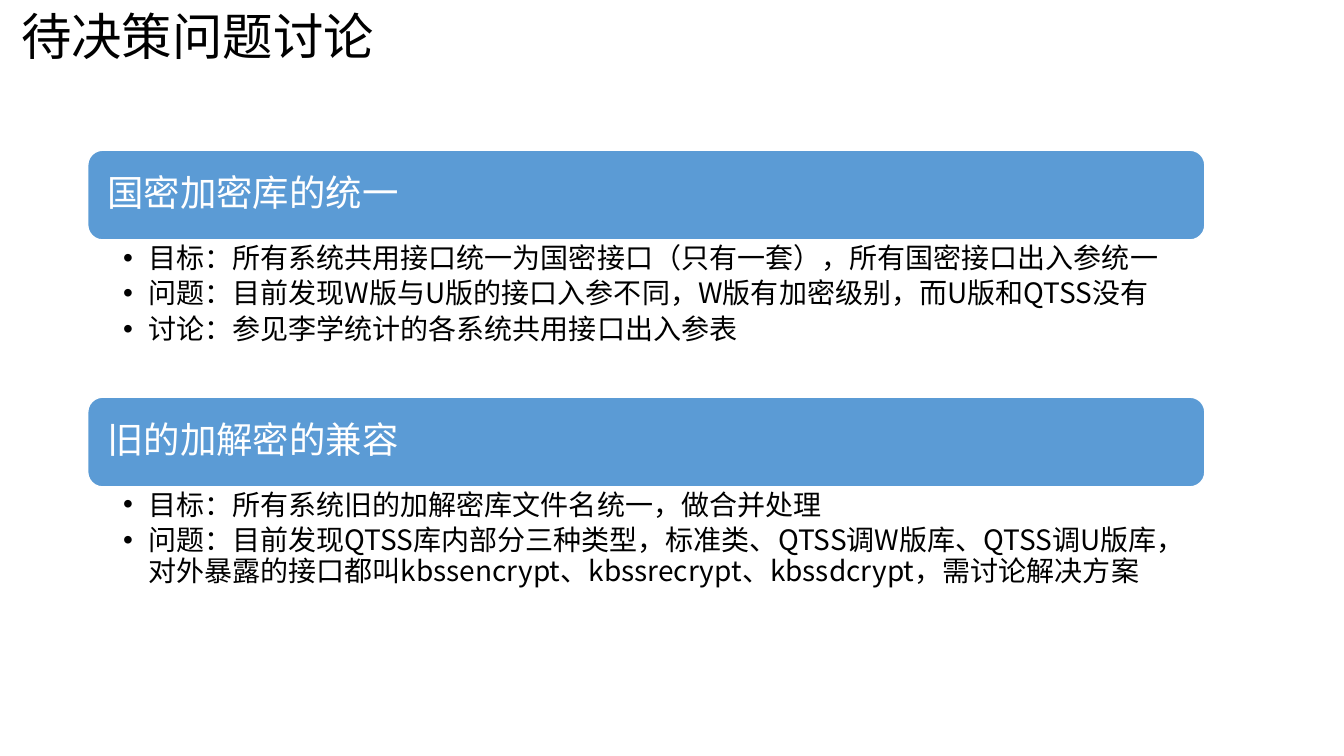
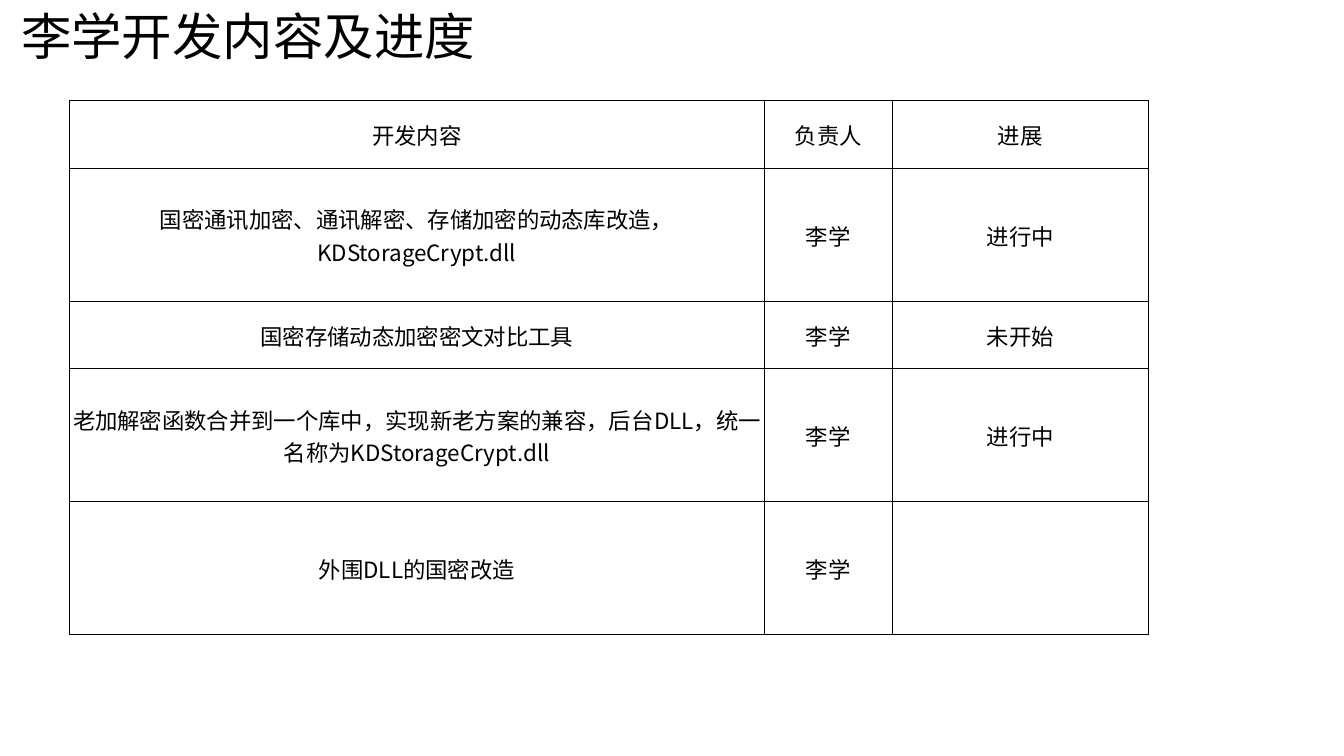
import dataclasses

import pptx
import pptx.dml.color
import pptx.enum.shapes
import pptx.enum.text
import pptx.oxml.ns
import pptx.util
from lxml import etree

Inches = pptx.util.Inches
Pt = pptx.util.Pt
qn = pptx.oxml.ns.qn
Align = pptx.enum.text.PP_ALIGN
Anchor = pptx.enum.text.MSO_ANCHOR

DISCUSSION_TITLE = "待决策问题讨论"
TOPICS = [
    {
        "heading": "国密加密库的统一",
        "height": 1.56,
        "points": [
            "目标：所有系统共用接口统一为国密接口（只有一套），所有国密接口出入参统一",
            "问题：目前发现W版与U版的接口入参不同，W版有加密级别，而U版和QTSS没有",
            "讨论：参见李学统计的各系统共用接口出入参表",
        ],
    },
    {
        "heading": "旧的加解密的兼容",
        "height": 1.47,
        "points": [
            "目标：所有系统旧的加解密库文件名统一，做合并处理",
            "问题：目前发现QTSS库内部分三种类型，标准类、QTSS调W版库、QTSS调U版库，"
            "对外暴露的接口都叫kbssencrypt、kbssrecrypt、kbssdcrypt，需讨论解决方案",
        ],
    },
]

PROGRESS_TITLE = "李学开发内容及进度"
PROGRESS_ROWS = [
    ("开发内容", "负责人", "进展"),
    ("国密通讯加密、通讯解密、存储加密的动态库改造，KDStorageCrypt.dll", "李学", "进行中"),
    ("国密存储动态加密密文对比工具", "李学", "未开始"),
    ("老加解密函数合并到一个库中，实现新老方案的兼容，后台DLL，统一名称为KDStorageCrypt.dll",
     "李学", "进行中"),
    ("外围DLL的国密改造", "李学", ""),
]
COLUMN_WIDTHS = (6.89, 1.27, 2.54)
ROW_HEIGHTS = (0.67, 1.32, 0.67, 1.32, 1.32)


@dataclasses.dataclass(frozen=True)
class Theme:
    font: str = "Noto Sans CJK SC"
    ink: str = "000000"
    paper: str = "FFFFFF"
    band: str = "5B9BD5"
    title_size: int = 36
    heading_size: int = 26
    point_size: int = 20
    cell_size: int = 16


THEME = Theme()


def rgb(value):
    return pptx.dml.color.RGBColor.from_string(value)


def set_attributes(target, values):
    for name, value in values.items():
        setattr(target, name, value)


def place(shape, left, top, width, height):
    values = {"left": left, "top": top, "width": width, "height": height}
    set_attributes(shape, {name: Inches(value) for name, value in values.items()})


def format_frame(frame, margins, anchor=Anchor.TOP, wrap=True):
    """Set the frame's margins, given as left, top, right, bottom."""
    sides = ("margin_left", "margin_top", "margin_right", "margin_bottom")
    set_attributes(frame, {
        "auto_size": pptx.enum.text.MSO_AUTO_SIZE.NONE,
        "word_wrap": wrap,
        "vertical_anchor": anchor,
        **{side: Inches(margin) for side, margin in zip(sides, margins)},
    })


def write(paragraph, text, size, color=THEME.ink, **paragraph_format):
    set_attributes(paragraph, {"alignment": Align.LEFT, "space_before": Pt(0),
                               **paragraph_format})
    run = paragraph.add_run()
    run.text = text
    set_attributes(run.font, {"size": Pt(size), "name": THEME.font, "bold": False})
    run.font.color.rgb = rgb(color)
    east_asian = etree.SubElement(run._r.get_or_add_rPr(), qn("a:ea"))
    east_asian.set("typeface", THEME.font)


def add_bullet(paragraph, indent):
    properties = paragraph._p.get_or_add_pPr()
    properties.set("marL", str(Inches(indent)))
    properties.set("indent", str(-Inches(indent)))
    etree.SubElement(properties, qn("a:buFont")).set("typeface", "Arial")
    etree.SubElement(properties, qn("a:buChar")).set("char", "•")


def add_titled_slide(presentation, layout_name, title):
    layout = presentation.slide_layouts.get_by_name(layout_name)
    slide = presentation.slides.add_slide(layout)
    shape = slide.shapes.title
    place(shape, 0.11, 0, THEME.title_size / 72 * len(title) + 0.24, 0.71)
    format_frame(shape.text_frame, (0.1, 0.05, 0.1, 0.05), wrap=False)
    write(shape.text_frame.paragraphs[0], title, THEME.title_size)
    return slide


def add_band(slide, heading, left, top, width, height):
    band = slide.shapes.add_shape(pptx.enum.shapes.MSO_SHAPE.ROUNDED_RECTANGLE, 0, 0, 0, 0)
    place(band, left, top, width, height)
    band.shadow.inherit = False
    band.fill.solid()
    band.fill.fore_color.rgb = rgb(THEME.band)
    band.line.color.rgb = rgb(THEME.paper)
    band.line.width = Pt(1)
    format_frame(band.text_frame, (0.15, 0.11, 0.15, 0.11), Anchor.MIDDLE)
    write(band.text_frame.paragraphs[0], heading, THEME.heading_size, THEME.paper,
          line_spacing=0.9)


def fill_points(body, points):
    frame = body.text_frame
    format_frame(frame, (0.35, 0.04, 0.2, 0.04))
    for index, point in enumerate(points):
        paragraph = frame.add_paragraph() if index else frame.paragraphs[0]
        write(paragraph, point, THEME.point_size, line_spacing=0.9, space_after=Pt(4))
        add_bullet(paragraph, 0.25)


def build_discussion(presentation):
    slide = add_titled_slide(presentation, "Two Content", DISCUSSION_TITLE)
    left, top, width, band_height = 0.87, 1.49, 11.08, 0.89
    for index, topic in enumerate(TOPICS, start=1):
        add_band(slide, topic["heading"], left, top, width, band_height)
        top += band_height
        body = slide.placeholders[index]
        place(body, left, top, width, topic["height"])
        fill_points(body, topic["points"])
        top += topic["height"]


def add_borders(cell):
    properties = cell._tc.get_or_add_tcPr()
    for position, side in enumerate(("a:lnL", "a:lnR", "a:lnT", "a:lnB")):
        line = etree.Element(qn(side), w=str(Pt(1)))
        fill = etree.SubElement(line, qn("a:solidFill"))
        etree.SubElement(fill, qn("a:srgbClr")).set("val", THEME.ink)
        properties.insert(position, line)


def build_progress(presentation):
    slide = add_titled_slide(presentation, "Title Only", PROGRESS_TITLE)
    frame = slide.shapes.add_table(
        len(PROGRESS_ROWS), len(COLUMN_WIDTHS), Inches(0.69), Inches(1),
        Inches(sum(COLUMN_WIDTHS)), Inches(sum(ROW_HEIGHTS)))
    table = frame.table
    set_attributes(table, {"first_row": False, "horz_banding": False})
    for column, width in zip(table.columns, COLUMN_WIDTHS):
        column.width = Inches(width)
    for row, height, texts in zip(table.rows, ROW_HEIGHTS, PROGRESS_ROWS):
        row.height = Inches(height)
        for cell, text in zip(row.cells, texts):
            set_attributes(cell, {
                "vertical_anchor": Anchor.MIDDLE,
                "margin_left": Inches(0.01), "margin_right": Inches(0.01),
                "margin_top": Inches(0.01), "margin_bottom": 0,
            })
            cell.fill.background()
            add_borders(cell)
            if text:
                write(cell.text_frame.paragraphs[0], text, THEME.cell_size,
                      alignment=Align.CENTER)


def main():
    presentation = pptx.Presentation()
    set_attributes(presentation, {"slide_width": Inches(13.33), "slide_height": Inches(7.5)})
    build_discussion(presentation)
    build_progress(presentation)
    presentation.save("out.pptx")


if __name__ == "__main__":
    main()
